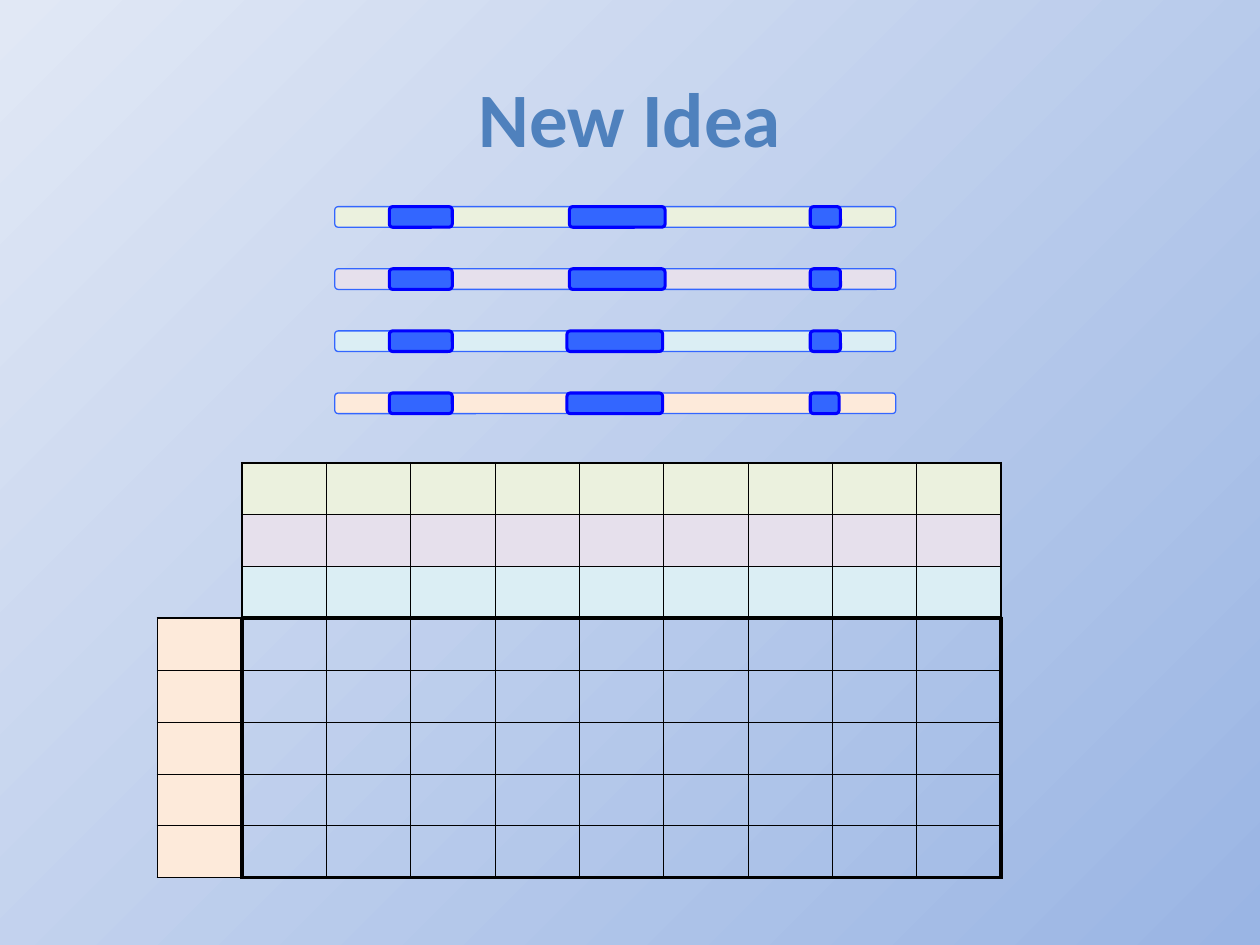
import pptx
import pptx.dml.color
import pptx.enum.shapes
import pptx.enum.text
import pptx.oxml
import pptx.oxml.ns
import pptx.util

Pt = pptx.util.Pt
RGBColor = pptx.dml.color.RGBColor
ROUNDED = pptx.enum.shapes.MSO_SHAPE.ROUNDED_RECTANGLE

TITLE_BLUE = RGBColor(0x4F, 0x81, 0xBD)
BG_DARK = RGBColor(0x9A, 0xB5, 0xE4)
BG_LIGHT = RGBColor(0xE1, 0xE8, 0xF5)
BLOCK_FILL = RGBColor(0x33, 0x66, 0xFF)
BLOCK_LINE = RGBColor(0x00, 0x00, 0xFF)
GREEN = RGBColor(0xEB, 0xF1, 0xDE)
PURPLE = RGBColor(0xE6, 0xE0, 0xEC)
AQUA = RGBColor(0xDB, 0xEE, 0xF4)
ORANGE = RGBColor(0xFD, 0xEA, 0xDA)

THIN, MID, HEAVY = 0.11, 1.08, 2.21
NO_STYLE = "{2D5ABB26-0587-4C30-8999-92F81FD0307C}"


def add_bar(shapes, left, top, width, fill, line, weight):
    sp = shapes.add_shape(ROUNDED, Pt(left), Pt(top), Pt(width), Pt(11.8))
    sp.shadow.inherit = False
    sp.fill.solid()
    sp.fill.fore_color.rgb = fill
    sp.line.color.rgb = line
    sp.line.width = Pt(weight)


def set_border(cell, side, weight):
    cell._tc.get_or_add_tcPr().append(pptx.oxml.parse_xml(
        f'<a:ln{side} {pptx.oxml.ns.nsdecls("a")} w="{Pt(weight)}">'
        '<a:solidFill><a:srgbClr val="000000"/></a:solidFill>'
        f'</a:ln{side}>'))


prs = pptx.Presentation()
prs.slide_width, prs.slide_height = Pt(720), Pt(540)
s = prs.slides.add_slide(prs.slide_layouts[5])

# Background gradient, dark at the bottom right
bg = s.background.fill
bg.gradient()
bg.gradient_angle = 135
for stop, color, position in zip(bg.gradient_stops, (BG_DARK, BG_LIGHT), (0, 1)):
    stop.color.rgb = color
    stop.position = position

# Title
title = s.shapes.title
title.left, title.top, title.width, title.height = Pt(36), Pt(21.6), Pt(648), Pt(90)
tf = title.text_frame
tf.vertical_anchor = pptx.enum.text.MSO_ANCHOR.MIDDLE
p = tf.paragraphs[0]
p.alignment = pptx.enum.text.PP_ALIGN.CENTER
r = p.add_run()
r.text = "New Idea"
for name, value in {"name": "Calibri", "size": Pt(44), "bold": True}.items():
    setattr(r.font, name, value)
r.font.color.rgb = TITLE_BLUE

# Four sequences, each with three conserved blocks:
# colour, left of the middle block, width of the last block
sequences = [(GREEN, 325.4, 17.3), (PURPLE, 325.4, 17.3),
             (AQUA, 324, 17.3), (ORANGE, 324, 16.5)]
group = s.shapes.add_group_shape()
for i, (color, middle_left, last_width) in enumerate(sequences):
    top = 118.1 + 35.5 * i
    add_bar(group.shapes, 191.3, top, 320.6, color, BLOCK_FILL, 0.75)
    for left, width in ((222.5, 36), (middle_left, 54.7), (463, last_width)):
        add_bar(group.shapes, left, top, width, BLOCK_FILL, BLOCK_LINE, 1.75)

# Alignment table
ROWS, COLS = 8, 10
table = s.shapes.add_table(ROWS, COLS, Pt(90), Pt(264.4), Pt(482), Pt(237)).table
table._tbl.tblPr.find(pptx.oxml.ns.qn("a:tableStyleId")).text = NO_STYLE
table.first_row = table.horz_banding = False
for column in table.columns:
    column.width = Pt(48.2)
for row in table.rows:
    row.height = Pt(29.63)
for cell in table.iter_cells():
    cell.fill.background()

# Regions: first and last row, first and last column, fill,
# outer border weights (left, right, top, bottom); inner borders are thin
regions = [
    (0, 0, 1, 9, GREEN, (MID, MID, MID, MID)),
    (1, 1, 1, 9, PURPLE, (MID, MID, MID, MID)),
    (2, 2, 1, 9, AQUA, (MID, MID, MID, HEAVY)),
    (3, 7, 0, 0, ORANGE, (MID, HEAVY, MID, MID)),
    (3, 7, 1, 9, None, (HEAVY, HEAVY, HEAVY, HEAVY)),
]
for row_a, row_b, col_a, col_b, color, weights in regions:
    for row in range(row_a, row_b + 1):
        for col in range(col_a, col_b + 1):
            cell = table.cell(row, col)
            tc_pr = cell._tc.get_or_add_tcPr()
            for child in list(tc_pr):
                tc_pr.remove(child)
            outer = (col == col_a, col == col_b, row == row_a, row == row_b)
            for side, is_outer, weight in zip("LRTB", outer, weights):
                set_border(cell, side, weight if is_outer else THIN)
            if color is None:
                cell.fill.background()
            else:
                cell.fill.solid()
                cell.fill.fore_color.rgb = color

prs.save("out.pptx")
